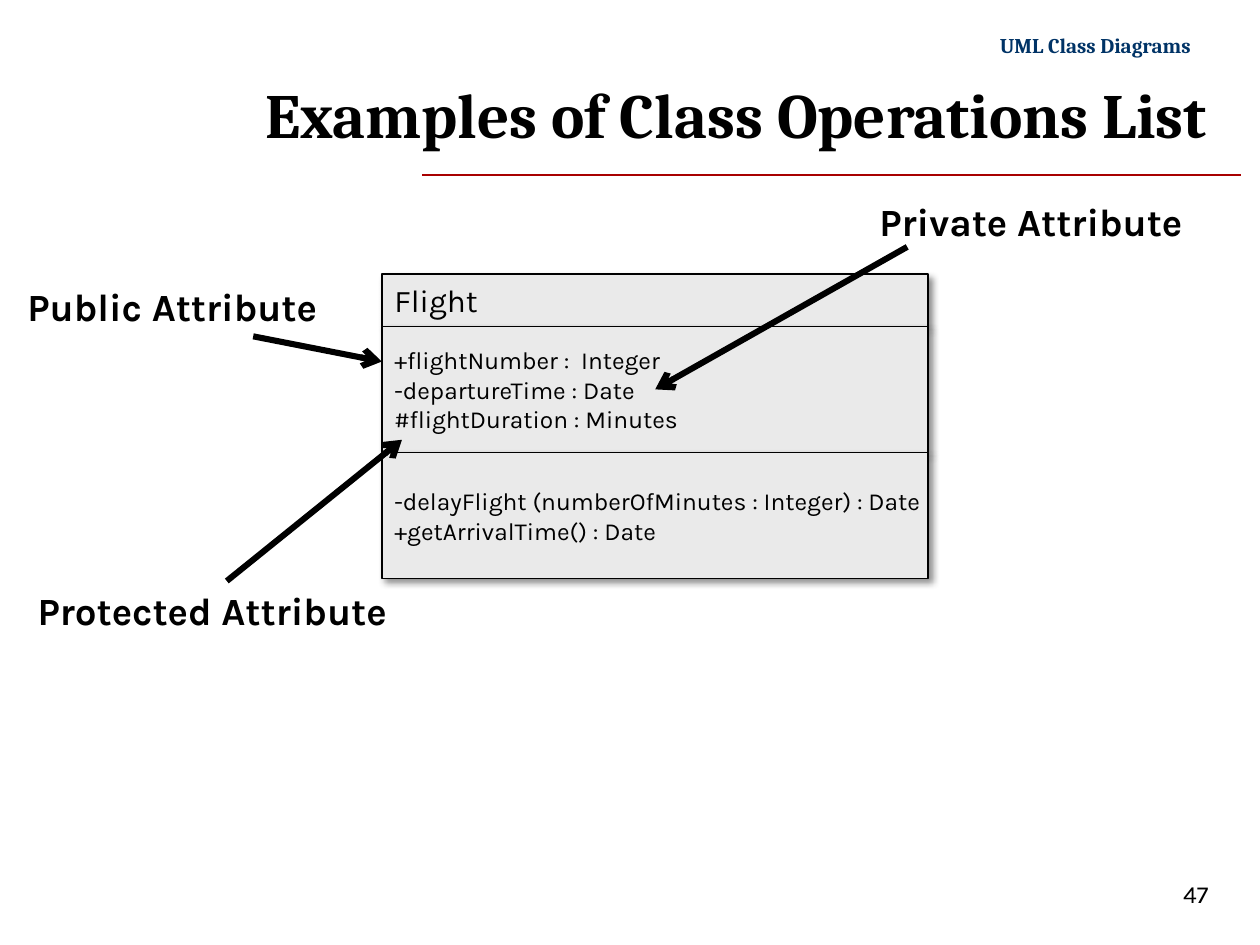
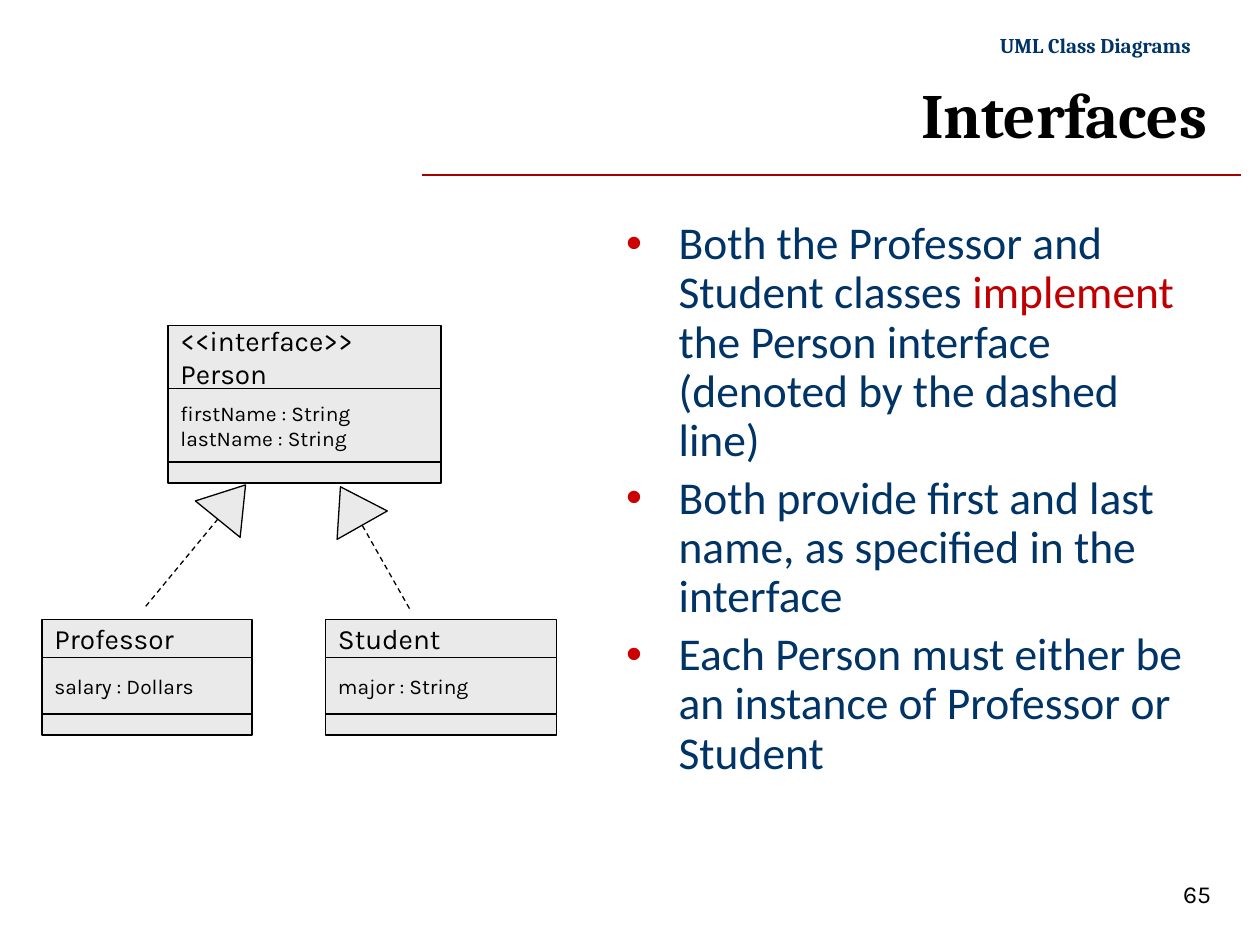
from lxml.etree import SubElement
from pptx import Presentation
from pptx.dml.color import RGBColor
from pptx.enum.dml import MSO_LINE_DASH_STYLE as Dash
from pptx.enum.shapes import MSO_CONNECTOR as Link, MSO_SHAPE as Kind
from pptx.enum.text import MSO_ANCHOR as Anchor, MSO_AUTO_SIZE as Fit, PP_ALIGN as Align
from pptx.oxml.ns import qn
from pptx.util import Pt

BLACK, NAVY, GREY = "000000", "003366", "EAEAEA"
RULE, DOT, MARK = "A80000", "CC0000", "C00000"
HEAD, BODY, CODE = "Cambria", "Calibri", "Karla"


def tint(code):
    """Turn a hex string into a colour."""
    return RGBColor.from_string(code)


def style(font, name, size, color=BLACK, bold=False):
    """Set the face, size, colour and weight of a font."""
    font.name, font.size, font.bold = name, Pt(size), bold
    font.color.rgb = tint(color)


def place(shape, box):
    """Move a shape to a box of left, top, width and height."""
    shape.left, shape.top, shape.width, shape.height = map(Pt, box)


def write(shape, lines, name, size, color=BLACK, bold=False, align=Align.LEFT):
    """Fill a shape with one paragraph for each line, unwrapped."""
    frame = shape.text_frame
    frame.word_wrap = False
    frame.text = "\n".join(lines)
    for para in frame.paragraphs:
        para.alignment = align
        style(para.font, name, size, color, bold)


def label(slide, box, text, *look, **more):
    """Add a text box with one line of text."""
    write(slide.shapes.add_textbox(*map(Pt, box)), [text], *look, **more)


def line(shapes, start, end, width=0.75, color=BLACK, arrow=False, dash=False):
    """Draw a straight line, dashed or with an arrowhead at its end."""
    link = shapes.add_connector(Link.STRAIGHT, *map(Pt, start + end))
    link.line.width = Pt(width)
    link.line.color.rgb = tint(color)
    if dash:
        link.line.dash_style = Dash.DASH
    if arrow:
        SubElement(link.line._get_or_add_ln(), qn("a:tailEnd"), type="arrow")
    SubElement(link._element.spPr, qn("a:effectLst"))


def shade(shape):
    """Cast a soft shadow down and to the right."""
    cast = SubElement(shape._element.spPr.find(qn("a:effectLst")), qn("a:outerShdw"),
                      blurRad=str(Pt(4)), dist=str(Pt(3)), dir="2700000",
                      algn="tl", rotWithShape="0")
    color = SubElement(cast, qn("a:srgbClr"), val=BLACK)
    SubElement(color, qn("a:alpha"), val="43000")


def panel(shapes, kind, box):
    """Add a grey shape with a thin black outline."""
    shape = shapes.add_shape(kind, *map(Pt, box))
    shape.shadow.inherit = False
    shape.fill.solid()
    shape.fill.fore_color.rgb = tint(GREY)
    shape.line.color.rgb = tint(BLACK)
    shape.line.width = Pt(0.75)
    return shape


def uml(slide, left, top, width, rows, shadow=False):
    """Stack the rows of a class box: height, text size and lines of each."""
    shapes = slide.shapes.add_group_shape().shapes
    for height, size, lines in rows:
        row = panel(shapes, Kind.RECTANGLE, (left, top, width, height))
        row.text_frame.vertical_anchor = Anchor.MIDDLE
        if lines:
            write(row, lines, CODE, size)
        if shadow:
            shade(row)
        top += height


def realize(slide, start, end, box, turn):
    """Draw a dashed line that ends in a turned triangle."""
    shapes = slide.shapes.add_group_shape().shapes
    panel(shapes, Kind.ISOSCELES_TRIANGLE, box).rotation = turn
    line(shapes, start, end, dash=True)


def bullets(slide, box, items):
    """Fill the body with bullets, each a list of text and colour pairs."""
    body = slide.placeholders[1]
    place(body, box)
    frame = body.text_frame
    frame.auto_size = Fit.NONE
    for i, item in enumerate(items):
        para = frame.add_paragraph() if i else frame.paragraphs[0]
        para.line_spacing, para.space_before = 0.9, Pt(5.2)
        style(para.font, BODY, 26, NAVY)
        for text, color in item:
            run = para.add_run()
            run.text = text
            run.font.color.rgb = tint(color)
        props = para._p.get_or_add_pPr()
        props.set("marL", str(Pt(30)))
        props.set("indent", str(-Pt(30)))
        dot = props.makeelement(qn("a:buClr"))
        SubElement(dot, qn("a:srgbClr"), val=DOT)
        props.find(qn("a:spcBef")).addnext(dot)
        mark = props.makeelement(qn("a:buChar"), char="•")
        dot.addnext(mark)


def begin(deck, layout, title, number):
    """Start a slide with its title, running head, rule and number."""
    slide = deck.slides.add_slide(deck.slide_layouts[layout])
    line(slide.shapes, (241.2, 100), (709.2, 100), color=RULE)
    label(slide, (558, 15, 129.6, 21.6), "UML Class Diagrams", HEAD, 12, NAVY,
          bold=True, align=Align.RIGHT)
    label(slide, (669, 499, 51, 24.5), str(number), CODE, 14)
    head = slide.shapes.title
    place(head, (97, 37.5, 600, 54))
    write(head, [title], HEAD, 36, bold=True, align=Align.RIGHT)
    head.text_frame.word_wrap = True
    head.text_frame.auto_size = Fit.NONE
    head.text_frame.vertical_anchor = Anchor.MIDDLE
    return slide


def operations(deck):
    """Build the slide on visibility marks."""
    slide = begin(deck, 5, "Examples of Class Operations List", 47)
    uml(slide, 218.25, 156.6, 312, [
        (30, 18, ["Flight"]),
        (72, 14, ["+flightNumber :  Integer", "-departureTime : Date",
                  "#flightDuration : Minutes"]),
        (72, 14, ["-delayFlight (numberOfMinutes : Integer) : Date",
                  "+getArrivalTime() : Date"]),
    ], shadow=True)
    notes = [
        ("Public", (8.6, 158.4, 190), (144.7, 192.2), (218.2, 206.6)),
        ("Private", (495.4, 109.4, 201), (518.4, 141.1), (374.4, 222.5)),
        ("Protected", (14.4, 332, 230), (129.6, 332), (229.7, 251.3)),
    ]
    for word, spot, start, end in notes:
        line(slide.shapes, start, end, 3.5, arrow=True)
        label(slide, spot + (34,), f"{word} Attribute", CODE, 22, bold=True)


def interfaces(deck):
    """Build the slide on classes that share an interface."""
    slide = begin(deck, 1, "Interfaces", 65)
    bullets(slide, (350.6, 122.4, 336.2, 347.8), [
        [("Both the Professor and Student classes ", NAVY), ("implement ", MARK),
         ("the Person interface (denoted by the dashed line)", NAVY)],
        [("Both provide first and last name, as specified in the interface", NAVY)],
        [("Each Person must either be an instance of Professor or Student", NAVY)],
    ])
    uml(slide, 96, 186, 156, [
        (36, 16, ["<<interface>>", "Person"]),
        (42, 12, ["firstName : String", "lastName : String"]),
        (12, 12, []),
    ])
    for left, width, name, field in [(24, 120, "Professor", "salary : Dollars"),
                                     (186, 132, "Student", "major : String")]:
        uml(slide, left, 354, width,
            [(21.6, 16, [name]), (32.4, 12, [field]), (12, 12, [])])
    realize(slide, (83.3, 346.5), (124.5, 296.6), (115.9, 274.3, 33, 25.2), 39.1)
    realize(slide, (234, 347.8), (206.6, 299.5), (184.3, 276.5, 33, 25.2), 330.5)


deck = Presentation()
deck.slide_width, deck.slide_height = Pt(720), Pt(540)
operations(deck)
interfaces(deck)
deck.save("out.pptx")
